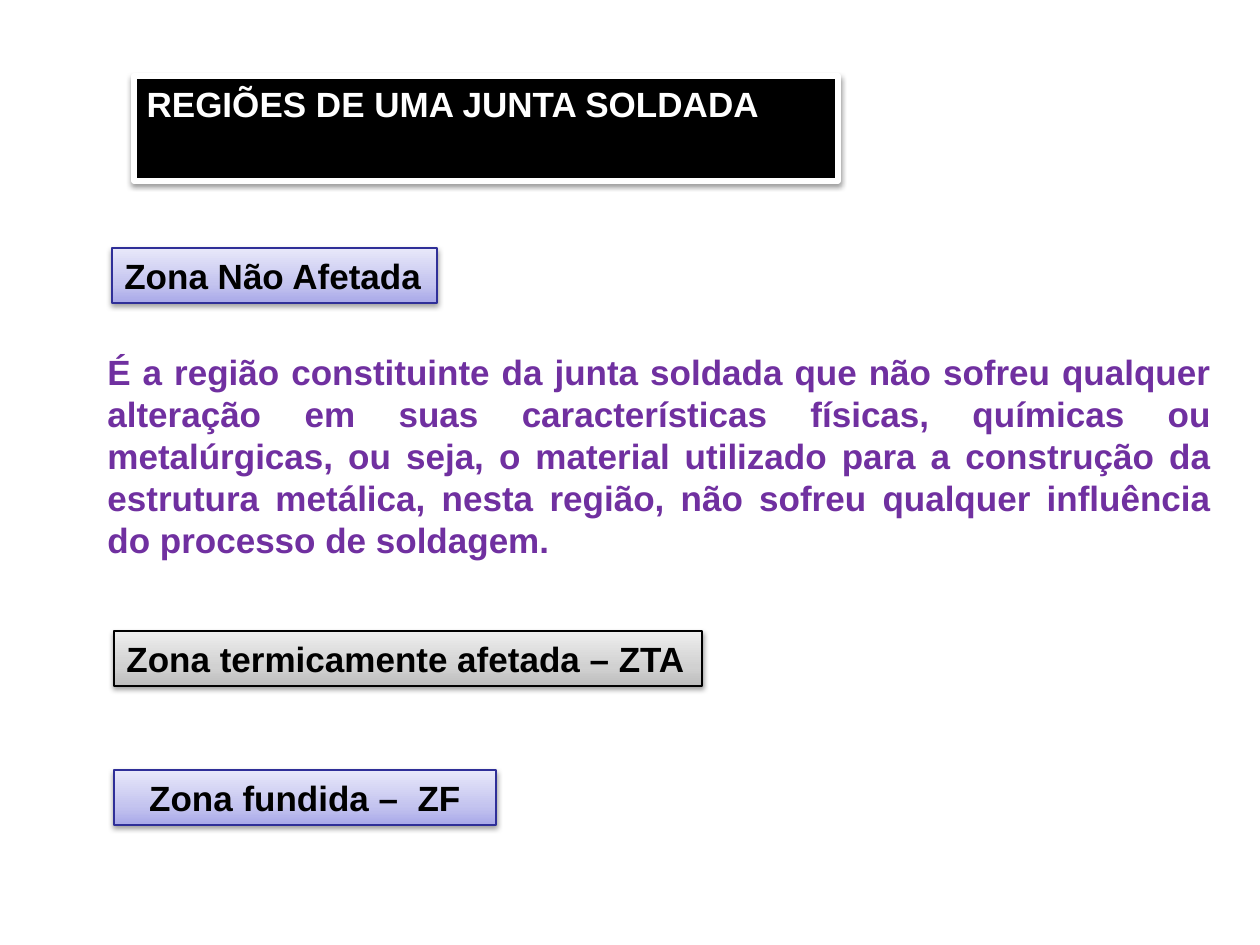
from dataclasses import dataclass
from typing import Any, NamedTuple

from lxml.etree import SubElement
from pptx import Presentation
from pptx.dml.color import RGBColor
from pptx.enum.shapes import MSO_SHAPE
from pptx.enum.text import MSO_ANCHOR, MSO_AUTO_SIZE, PP_ALIGN
from pptx.oxml.ns import qn
from pptx.util import Emu, Pt

PX = 914400 / 126


class Box(NamedTuple):
    left: int
    top: int
    width: int
    height: int


class Tint(NamedTuple):
    dark: str
    middle: str
    light: str
    line: str


@dataclass(frozen=True)
class Theme:
    font: str = "Arial"
    size: int = 20
    black: str = "000000"
    white: str = "FFFFFF"
    purple: str = "7030A0"
    blue: Tint = Tint("A9A9E9", "C4C4EF", "E8E8FA", "2F2F98")
    gray: Tint = Tint("BDBDBD", "D1D1D1", "EEEEEE", "000000")
    title_line: float = 3
    zone_line: float = 0.75


@dataclass(frozen=True)
class Zone:
    text: str
    box: Box
    tint: Tint
    align: PP_ALIGN = PP_ALIGN.LEFT
    wrap: bool = False


THEME = Theme()
TITLE = "REGIÕES DE UMA JUNTA SOLDADA"
TITLE_BOX = Box(134, 76, 704, 55)
BODY = (
    "É a região constituinte da junta soldada que não sofreu qualquer alteração "
    "em suas características físicas, químicas ou metalúrgicas, ou seja, o "
    "material utilizado para a construção da estrutura metálica, nesta região, "
    "não sofreu qualquer influência do processo de soldagem."
)
BODY_BOX = Box(95, 344, 1129, 224)
ZONES = [
    Zone("Zona termicamente afetada – ZTA", Box(114, 631, 588, 55), THEME.gray),
    Zone("Zona fundida –  ZF", Box(114, 770, 382, 55), THEME.blue,
         PP_ALIGN.CENTER, True),
    Zone("Zona Não Afetada", Box(112, 248, 325, 55), THEME.blue),
]


def px(value: int) -> Emu:
    return Emu(round(value * PX))


def apply(target: Any, values: dict[str, Any]) -> None:
    for name, value in values.items():
        setattr(target, name, value)


def place(sp: Any, box: Box) -> None:
    apply(sp, {name: px(value) for name, value in box._asdict().items()})


def write(sp: Any, text: str, color: str, align: PP_ALIGN, wrap: bool = True) -> None:
    tf = sp.text_frame
    apply(tf, {"word_wrap": wrap, "auto_size": MSO_AUTO_SIZE.SHAPE_TO_FIT_TEXT,
               "vertical_anchor": MSO_ANCHOR.TOP})
    p = tf.paragraphs[0]
    p.alignment = align
    r = p.add_run()
    r.text = text
    apply(r.font, {"name": THEME.font, "size": Pt(THEME.size), "bold": True})
    r.font.color.rgb = RGBColor.from_string(color)


def outline(sp: Any, color: str, width: float) -> None:
    sp.line.color.rgb = RGBColor.from_string(color)
    sp.line.width = Pt(width)


def add_color(parent: Any, color: str) -> Any:
    return SubElement(parent, qn("a:srgbClr"), val=color)


def cast_shadow(sp: Any) -> None:
    sp.shadow.inherit = False
    effects = sp._element.spPr.find(qn("a:effectLst"))
    shadow = SubElement(effects, qn("a:outerShdw"), blurRad="40000", dist="20000",
                        dir="5400000", rotWithShape="0")
    SubElement(add_color(shadow, THEME.black), qn("a:alpha"), val="38000")


def fill_gradient(sp: Any, tint: Tint) -> None:
    sp.fill.gradient()
    sp.fill.gradient_angle = 90
    stops = sp._element.spPr.find(qn("a:gradFill")).find(qn("a:gsLst"))
    for stop in list(stops):
        stops.remove(stop)
    for percent, color in zip((0, 35, 100), tint[:3]):
        add_color(SubElement(stops, qn("a:gs"), pos=str(percent * 1000)), color)


def draw_title(s: Any) -> None:
    sp = s.shapes.title
    place(sp, TITLE_BOX)
    sp.fill.solid()
    sp.fill.fore_color.rgb = RGBColor.from_string(THEME.black)
    outline(sp, THEME.white, THEME.title_line)
    cast_shadow(sp)
    write(sp, TITLE, THEME.white, PP_ALIGN.LEFT)


def draw_body(s: Any) -> None:
    sp = s.shapes.add_textbox(*map(px, BODY_BOX))
    write(sp, BODY, THEME.purple, PP_ALIGN.JUSTIFY)


def draw_zone(s: Any, zone: Zone) -> None:
    sp = s.shapes.add_shape(MSO_SHAPE.RECTANGLE, *map(px, zone.box))
    fill_gradient(sp, zone.tint)
    outline(sp, zone.tint.line, THEME.zone_line)
    cast_shadow(sp)
    write(sp, zone.text, THEME.black, zone.align, zone.wrap)


def main() -> None:
    prs = Presentation()
    apply(prs, {"slide_width": px(1260), "slide_height": px(945)})
    s = prs.slides.add_slide(prs.slide_layouts[5])
    draw_title(s)
    draw_body(s)
    for zone in ZONES:
        draw_zone(s, zone)
    prs.save("out.pptx")


if __name__ == "__main__":
    main()
